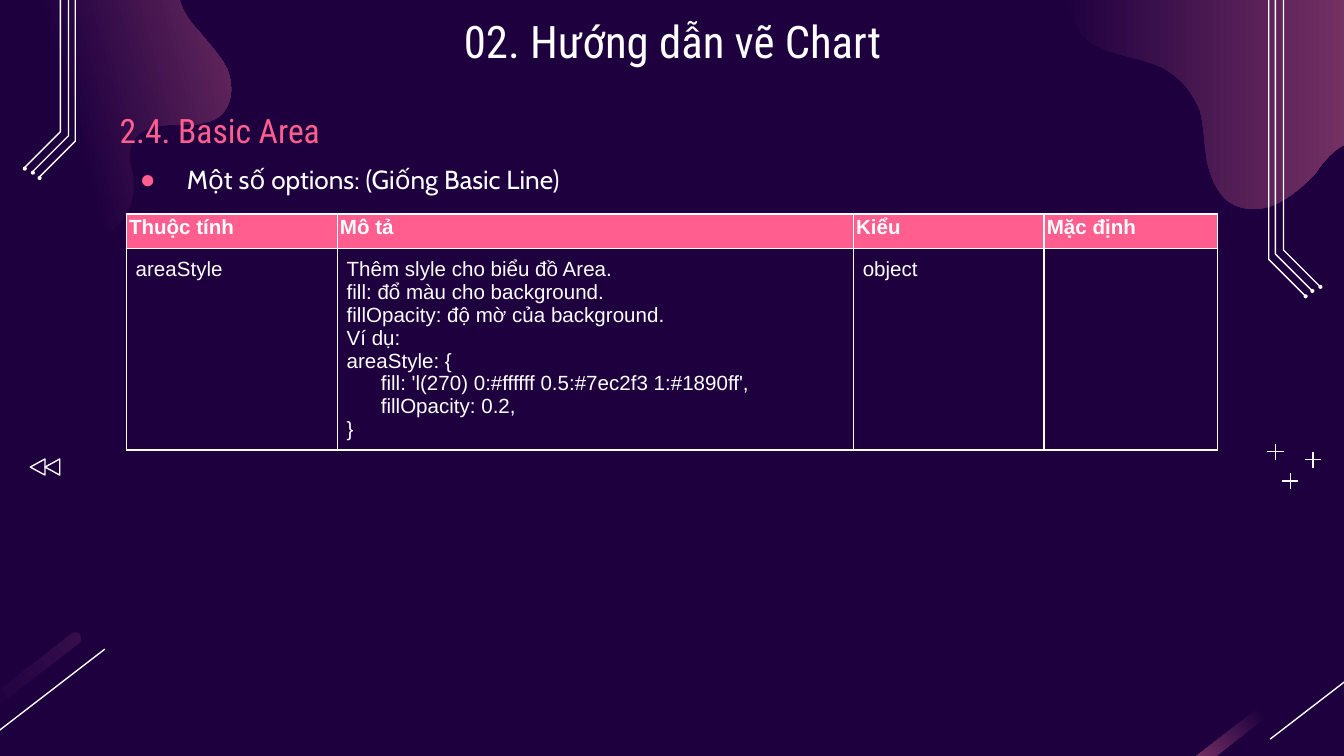
"""Build the Basic Area options slide with its circuit-style decoration."""
import lxml.etree
import pptx
import pptx.dml.color
import pptx.enum.shapes
import pptx.enum.text
import pptx.oxml.ns
import pptx.util

Inches, Pt = pptx.util.Inches, pptx.util.Pt
RGBColor = pptx.dml.color.RGBColor
SHAPE = pptx.enum.shapes.MSO_SHAPE
ALIGN = pptx.enum.text.PP_ALIGN
ANCHOR = pptx.enum.text.MSO_ANCHOR
qn = pptx.oxml.ns.qn

NIGHT = RGBColor(0x1E, 0x00, 0x3F)
PLUM = RGBColor(0xA6, 0x4D, 0x79)
DUSK = RGBColor(0x37, 0x0E, 0x4C)
PINK = RGBColor(0xFF, 0x5E, 0x8E)
WHITE = RGBColor(0xFF, 0xFF, 0xFF)

TITLE = "02. Hướng dẫn vẽ Chart"
HEADING = "2.4. Basic Area"
BULLET = "Một số options: (Giống Basic Line)"
ROWS = [
    ["Thuộc tính", "Mô tả", "Kiểu", "Mặc định"],
    ["areaStyle",
     "Thêm slyle cho biểu đồ Area.\n"
     "fill: đổ màu cho background.\n"
     "fillOpacity: độ mờ của background.\n"
     "Ví dụ:\n"
     "areaStyle: {\n"
     "      fill: 'l(270) 0:#ffffff 0.5:#7ec2f3 1:#1890ff',\n"
     "      fillOpacity: 0.2,\n"
     "}",
     "object", ""],
]
COLUMN_WIDTHS = [1.57, 3.84, 1.42, 1.29]
ROW_HEIGHTS = [0.26, 1.5]

LEFT_BLOB = [
    (0.48, 1.9),
    (0.74, 1.83, 0.86, 1.69, 0.9, 1.65), (0.98, 1.56, 1.01, 1.43, 0.99, 1.31),
    (0.98, 1.24, 0.95, 1.17, 0.97, 1.11), (0.98, 1.02, 1.06, 0.97, 1.14, 0.95),
    (1.24, 0.92, 1.33, 0.93, 1.42, 0.93), (1.46, 0.93, 1.5, 0.92, 1.53, 0.91),
    (1.58, 0.9, 1.63, 0.88, 1.66, 0.84), (1.74, 0.75, 1.73, 0.61, 1.69, 0.51),
    (1.64, 0.41, 1.55, 0.32, 1.48, 0.23), (1.4, 0.15, 1.33, 0.04, 1.33, -0.07),
    (1.33, -0.16, 1.36, -0.25, 1.43, -0.31), (1.47, -0.35, 1.53, -0.38, 1.59, -0.39),
    (1.68, -0.42, 1.79, -0.42, 1.9, -0.41), (2.01, -0.41, 2.12, -0.4, 2.23, -0.42),
    (2.37, -0.46, 2.46, -0.51, 2.52, -0.58), (2.59, -0.66, 2.61, -0.78, 2.58, -0.87),
    (2.56, -1.05, 2.44, -1.25, 2.33, -1.34), (2.15, -1.5, 1.9, -1.55, 1.67, -1.51),
    (1.29, -1.4, 1.03, -1.1, 0.7, -0.95), (0.65, -0.93, 0.59, -0.91, 0.54, -0.9),
    (0.22, -0.81, -0.13, -0.85, -0.47, -0.82), (-0.62, -0.81, -0.77, -0.78, -0.91, -0.74),
    (-1.04, -0.71, -1.16, -0.67, -1.28, -0.61), (-1.45, -0.54, -1.62, -0.44, -1.74, -0.3),
    (-1.86, -0.17, -1.95, 0.02, -1.94, 0.22), (-1.93, 0.46, -1.76, 0.68, -1.56, 0.8),
    (-1.35, 0.93, -1.12, 0.97, -0.88, 0.99), (-0.74, 1.01, -0.6, 1.01, -0.46, 1.06),
    (-0.32, 1.1, -0.19, 1.19, -0.13, 1.33), (-0.08, 1.44, -0.08, 1.55, -0.03, 1.66),
    (0.06, 1.84, 0.29, 1.95, 0.47, 1.9),
]
RIGHT_BLOB = [
    (11.25, 0.38),
    (11.25, 0.13, 11.18, -0.13, 11.05, -0.35), (10.94, -0.54, 10.78, -0.7, 10.58, -0.77),
    (10.36, -0.85, 10.12, -0.81, 9.89, -0.84), (9.67, -0.87, 9.45, -0.97, 9.29, -1.13),
    (9.18, -1.23, 9.09, -1.35, 8.97, -1.41), (8.83, -1.48, 8.67, -1.46, 8.52, -1.43),
    (8.4, -1.4, 8.28, -1.36, 8.19, -1.29), (8.03, -1.17, 7.96, -0.97, 7.93, -0.78),
    (7.9, -0.65, 7.89, -0.51, 7.89, -0.38), (7.89, -0.31, 7.89, -0.24, 7.9, -0.18),
    (7.91, 0, 7.96, 0.18, 8.09, 0.3), (8.25, 0.42, 8.47, 0.42, 8.64, 0.5),
    (8.78, 0.57, 8.88, 0.69, 8.93, 0.83), (8.96, 0.94, 8.96, 1.07, 8.98, 1.19),
    (9, 1.3, 9.05, 1.43, 9.14, 1.5), (9.24, 1.57, 9.38, 1.57, 9.49, 1.52),
    (9.6, 1.47, 9.69, 1.39, 9.78, 1.3), (9.83, 1.23, 9.88, 1.16, 9.95, 1.11),
    (10.02, 1.06, 10.1, 1.03, 10.18, 1.06), (10.33, 1.1, 10.38, 1.3, 10.52, 1.38),
    (10.85, 1.57, 11.08, 1.12, 11.17, 0.88), (11.22, 0.72, 11.25, 0.55, 11.25, 0.38),
]
TRACK_BENDS = [(9.55, 1.86), (9.49, 1.89), (9.44, 1.93)]
TRACK_SIDES = [(lambda x: x, 0), (lambda x: 10 - x, -0.88)]
STREAKS = [(-0.14, 0, DUSK), (9.4, 180, PLUM)]
SLASH_STARTS = [0.78, 10.32]
PLUS_CENTRES = [(9.6, 3.58), (9.77, 3.42), (9.49, 3.36)]
ARROW_LEFTS = [0.22, 0.33]


def flatten(outline, steps=8):
    points = [outline[0]]
    for x1, y1, x2, y2, x3, y3 in outline[1:]:
        x0, y0 = points[-1]
        for step in range(1, steps + 1):
            t = step / steps
            u = 1 - t
            weights = (u ** 3, 3 * u * u * t, 3 * u * t * t, t ** 3)
            points.append((sum(w * x for w, x in zip(weights, (x0, x1, x2, x3))),
                           sum(w * y for w, y in zip(weights, (y0, y1, y2, y3)))))
    return points


def add_outline(page, points, close):
    scaled = [(Inches(x), Inches(y)) for x, y in points]
    builder = page.shapes.build_freeform(*scaled[0])
    builder.add_line_segments(scaled[1:], close=close)
    return builder.convert_to_shape()


def add_preset(page, kind, left, top, width, height):
    return page.shapes.add_shape(kind, *map(Inches, (left, top, width, height)))


def style_gradient(shape, angle, start, end_color):
    shape.shadow.inherit = False
    shape.line.fill.background()
    shape.fill.gradient()
    shape.fill.gradient_angle = angle
    for stop, place, color in zip(shape.fill.gradient_stops, (start, 1), (NIGHT, end_color)):
        stop.position = place
        stop.color.rgb = color


def style_stroke(shape):
    shape.shadow.inherit = False
    shape.fill.background()
    shape.line.color.rgb = WHITE
    shape.line.width = Pt(0.75)


def add_line(page, *ends):
    line = page.shapes.add_connector(pptx.enum.shapes.MSO_CONNECTOR.STRAIGHT, *map(Inches, ends))
    line.line.color.rgb = WHITE
    line.line.width = Pt(0.75)
    lxml.etree.SubElement(line.element.spPr, qn("a:effectLst"))


def add_decoration(page):
    style_gradient(add_outline(page, flatten(LEFT_BLOB), True), 15, 0.5, PLUM)
    style_gradient(add_outline(page, flatten(RIGHT_BLOB), True), 0, 0, PLUM)
    for centre, angle, color in STREAKS:
        streak = add_preset(page, SHAPE.ROUNDED_RECTANGLE, centre - 0.93, 5.25, 1.86, 0.09)
        streak.adjustments[0] = 0.5
        streak.rotation = -37.9
        style_gradient(streak, angle, 0.5, color)
    for x in SLASH_STARTS:
        add_line(page, x, 4.83, x - 0.87, 5.5)
    for place_x, shift in TRACK_SIDES:
        for x, y in TRACK_BENDS:
            points = [(x, -1.19), (x, y), (x + 0.27, y + 0.27)]
            track = [(place_x(a), b + shift) for a, b in points]
            style_stroke(add_outline(page, track, False))
            end_x, end_y = track[-1]
            dot = add_preset(page, SHAPE.OVAL, end_x - 0.01, end_y - 0.01, 0.03, 0.03)
            dot.shadow.inherit = False
            dot.fill.solid()
            dot.fill.fore_color.rgb = WHITE
            dot.line.fill.background()
    for x, y in PLUS_CENTRES:
        add_line(page, x - 0.06, y, x + 0.06, y)
        add_line(page, x, y - 0.06, x, y + 0.06)
    for left in ARROW_LEFTS:
        arrow = add_preset(page, SHAPE.ISOSCELES_TRIANGLE, left, 3.42, 0.12, 0.11)
        arrow.rotation = 270
        style_stroke(arrow)


def style_span(span, font, size, color, bold=False):
    span.font.name, span.font.size, span.font.bold = font, Pt(size), bold
    span.font.color.rgb = color


def set_margins(box, inset):
    box.margin_left = box.margin_top = box.margin_right = box.margin_bottom = Inches(inset)


def fill_placeholder(box, place, text, font, size, color, anchor, align, spacing):
    box.left, box.top, box.width, box.height = map(Inches, place)
    frame = box.text_frame
    frame.text = text
    frame.auto_size = pptx.enum.text.MSO_AUTO_SIZE.NONE
    frame.word_wrap = True
    frame.vertical_anchor = anchor
    set_margins(frame, 0.1)
    para = frame.paragraphs[0]
    para.alignment, para.line_spacing, para.space_before = align, spacing, Pt(0)
    style_span(para.runs[0], font, size, color)
    box.element.getparent().append(box.element)
    return para


def set_bullet(para, symbol=None):
    props = para._p.get_or_add_pPr()
    props.set("marL", str(Inches(0.5) if symbol else 0))
    props.set("indent", str(Inches(-0.35) if symbol else 0))
    if symbol:
        color = lxml.etree.SubElement(props, qn("a:buClr"))
        lxml.etree.SubElement(color, qn("a:srgbClr"), val=str(PINK))
        lxml.etree.SubElement(props, qn("a:buChar"), char=symbol)
    else:
        lxml.etree.SubElement(props, qn("a:buNone"))


def set_borders(cell):
    props = cell._tc.get_or_add_tcPr()
    for side in ("lnL", "lnR", "lnT", "lnB"):
        line = lxml.etree.SubElement(props, qn("a:" + side), w=str(Pt(1)))
        fill = lxml.etree.SubElement(line, qn("a:solidFill"))
        lxml.etree.SubElement(fill, qn("a:srgbClr"), val=str(WHITE))


def add_options_table(page):
    place = map(Inches, (0.94, 1.59, sum(COLUMN_WIDTHS), sum(ROW_HEIGHTS)))
    table = page.shapes.add_table(len(ROWS), len(COLUMN_WIDTHS), *place).table
    table.first_row = table.horz_banding = False
    for column, width in zip(table.columns, COLUMN_WIDTHS):
        column.width = Inches(width)
    for index, (row, height) in enumerate(zip(table.rows, ROW_HEIGHTS)):
        row.height = Inches(height)
        header = index == 0
        for cell, text in zip(row.cells, ROWS[index]):
            cell.text = text
            set_margins(cell, 0.02 if header else 0.07)
            set_borders(cell)
            if header:
                cell.fill.solid()
                cell.fill.fore_color.rgb = PINK
            else:
                cell.fill.background()
            for para in cell.text_frame.paragraphs:
                for span in para.runs:
                    style_span(span, "Arial", 11, WHITE, header)


def main():
    deck = pptx.Presentation()
    deck.slide_width, deck.slide_height = Inches(10), Inches(10) * 9 // 16
    page = deck.slides.add_slide(deck.slide_layouts[3])
    page.background.fill.solid()
    page.background.fill.fore_color.rgb = NIGHT
    title, heading, body = list(page.placeholders)[:3]
    add_decoration(page)
    fill_placeholder(title, (0.79, 0, 8.43, 0.63), TITLE, "Roboto Condensed", 24, WHITE,
                     ANCHOR.TOP, ALIGN.CENTER, 1)
    para = fill_placeholder(heading, (0.79, 0.77, 7.02, 0.45), HEADING, "Roboto Condensed", 18,
                            PINK, ANCHOR.BOTTOM, ALIGN.LEFT, 1.15)
    set_bullet(para)
    para = fill_placeholder(body, (0.79, 1, 8.12, 0.5), BULLET, "Cabin", 14, WHITE,
                            ANCHOR.TOP, ALIGN.LEFT, 1.5)
    set_bullet(para, "●")
    add_options_table(page)
    deck.save("out.pptx")


if __name__ == "__main__":
    main()
